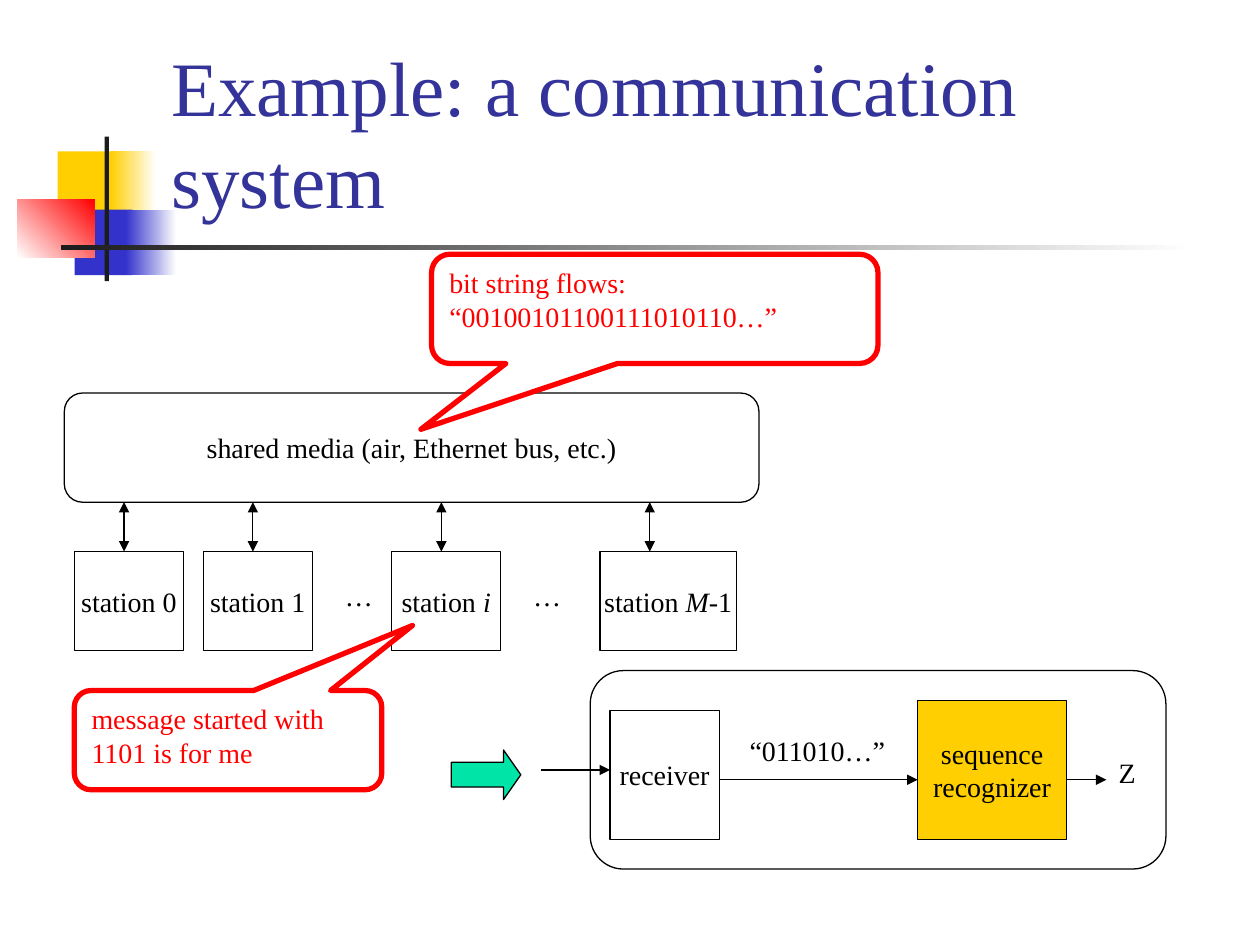
from lxml import etree
from pptx import Presentation
from pptx import util as u
from pptx.dml import color
from pptx.enum import shapes, text
from pptx.oxml import ns

Pt = u.Pt
SHAPE = shapes.MSO_SHAPE
COLORS = {
    "black": "000000", "white": "FFFFFF", "red": "FF0000", "gold": "FFCF01",
    "blue": "3333CC", "title": "333399", "charcoal": "1C1C1C", "green": "00E4A8",
}


def rgb(name):
    return color.RGBColor.from_string(COLORS[name])


def write(frame, lines, size=16, ink="black", font="Times New Roman",
          align=text.PP_ALIGN.LEFT, anchor=text.MSO_ANCHOR.TOP, wrap=True):
    frame.word_wrap = wrap
    frame.vertical_anchor = anchor
    for index, line in enumerate(lines):
        para = frame.add_paragraph() if index else frame.paragraphs[0]
        para.alignment = align
        for words, italic in [(line, False)] if isinstance(line, str) else line:
            span = para.add_run()
            span.text = words
            span.font.name = font
            span.font.size = Pt(size)
            span.font.italic = italic
            span.font.color.rgb = rgb(ink)


class Painter:
    thin = 0.75
    thick = 3

    def __init__(self, deck):
        self.page = deck.slides.add_slide(deck.slide_layouts[5])

    def shape(self, kind, left, top, width, height, fill=None, line="black",
              weight=thin, adjust=()):
        box = self.page.shapes.add_shape(kind, Pt(left), Pt(top), Pt(width), Pt(height))
        box.shadow.inherit = False
        for index, value in enumerate(adjust):
            box.adjustments[index] = value
        if fill:
            box.fill.solid()
            box.fill.fore_color.rgb = rgb(fill)
        else:
            box.fill.background()
        if line:
            box.line.color.rgb = rgb(line)
            box.line.width = Pt(weight)
        else:
            box.line.fill.background()
        return box

    def fade(self, left, top, width, height, start, end, angle=0):
        box = self.shape(SHAPE.RECTANGLE, left, top, width, height, line=None)
        box.fill.gradient()
        box.fill.gradient_angle = angle
        for stop, name in zip(box.fill.gradient_stops, (start, end)):
            stop.color.rgb = rgb(name)

    def block(self, left, top, width, height, lines, kind=SHAPE.RECTANGLE, **style):
        box = self.shape(kind, left, top, width, height, **style)
        frame = box.text_frame
        write(frame, lines, align=text.PP_ALIGN.CENTER,
              anchor=text.MSO_ANCHOR.MIDDLE, wrap=False)

    def callout(self, left, top, width, height, words, tip):
        box = self.shape(SHAPE.ROUNDED_RECTANGULAR_CALLOUT, left, top, width, height,
                         fill="white", line="red", weight=self.thick,
                         adjust=(*tip, 0.167))
        write(box.text_frame, [words], ink="red")

    def label(self, left, top, width, words):
        box = self.page.shapes.add_textbox(Pt(left), Pt(top), Pt(width), Pt(26.6))
        write(box.text_frame, [words], wrap=False)
        box.text_frame.auto_size = text.MSO_AUTO_SIZE.SHAPE_TO_FIT_TEXT

    def arrow(self, x1, y1, x2, y2, both=False):
        line = self.page.shapes.add_connector(
            shapes.MSO_CONNECTOR.STRAIGHT, Pt(x1), Pt(y1), Pt(x2), Pt(y2))
        line.line.color.rgb = rgb("black")
        line.line.width = Pt(self.thin)
        stroke = line.line._get_or_add_ln()
        for end in ("headEnd", "tailEnd") if both else ("tailEnd",):
            etree.SubElement(stroke, ns.qn("a:" + end), type="triangle")
        etree.SubElement(line._element.spPr, ns.qn("a:effectLst"))

    def title(self, left, top, width, height, words):
        box = self.page.shapes.title
        box.left, box.top, box.width, box.height = map(Pt, (left, top, width, height))
        write(box.text_frame, [words], size=44, ink="title",
              anchor=text.MSO_ANCHOR.BOTTOM)
        box.text_frame.auto_size = text.MSO_AUTO_SIZE.NONE
        self.page.shapes._spTree.append(box._element)


def draw_header(painter):
    painter.shape(SHAPE.RECTANGLE, 33, 86.5, 34.5, 37.4, fill="gold", line=None)
    painter.fade(63.2, 86.5, 26, 37.4, "gold", "white")
    painter.shape(SHAPE.RECTANGLE, 42.6, 119.8, 33.1, 37.4, fill="blue", line=None)
    painter.fade(72, 119.8, 28.8, 37.4, "blue", "white")
    painter.fade(9.8, 113.8, 44.2, 33.4, "white", "red", angle=45)
    painter.shape(SHAPE.RECTANGLE, 59.8, 78, 2.5, 82.7, fill="charcoal", line=None)
    painter.fade(34.8, 140.2, 648, 2.5, "charcoal", "white")
    painter.title(90.7, 16.6, 613.4, 115.2, "Example: a communication system")


def draw_network(painter):
    painter.block(36.8, 224.6, 396.9, 62.4, ["shared media (air, Ethernet bus, etc.)"],
                  kind=SHAPE.ROUNDED_RECTANGLE, adjust=(0.167,))
    stations = [
        (42.5, 62.4, "station 0"),
        (116.1, 62.4, "station 1"),
        (223.8, 62.4, [("station ", False), ("i", True)]),
        (342.9, 77.9, [("station ", False), ("M-", True), ("1", False)]),
    ]
    for left, width, name in stations:
        painter.block(left, 315.2, width, 56.7, [name])
        painter.arrow(left + 28.4, 286.9, left + 28.4, 315.2, both=True)
    for left in (190, 297.5):
        painter.label(left, 326.9, 30.2, "…")
    painter.callout(42.5, 394.6, 175.7, 56.7, "message started with 1101 is for me",
                    (0.6, -1.156))
    painter.callout(246.6, 145.3, 255.1, 62.4,
                    "bit string flows: “00100101100111010110…”", (-0.524, 1.103))


def draw_station_detail(painter):
    painter.block(348.6, 405.9, 62.4, 73.7, ["receiver"])
    painter.label(421.2, 415.4, 92.9, "“011010…”")
    painter.block(524.4, 400.2, 85, 79.4, ["sequence", "recognizer"], fill="gold")
    painter.shape(SHAPE.ROUNDED_RECTANGLE, 337.3, 383.2, 329, 113.4, adjust=(0.167,))
    for start, end, y in ((308.9, 348.6, 440), (411, 524.4, 445.6), (609.5, 632.2, 445.6)):
        painter.arrow(start, y, end, y)
    painter.label(632.2, 428.4, 24.5, "Z")
    painter.shape(SHAPE.RIGHT_ARROW, 257.9, 428.6, 39.7, 28.3, fill="green",
                  adjust=(0.5, 0.349))


def main():
    deck = Presentation()
    deck.slide_width, deck.slide_height = Pt(720), Pt(540)
    painter = Painter(deck)
    draw_header(painter)
    draw_network(painter)
    draw_station_detail(painter)
    deck.save("out.pptx")


if __name__ == "__main__":
    main()
